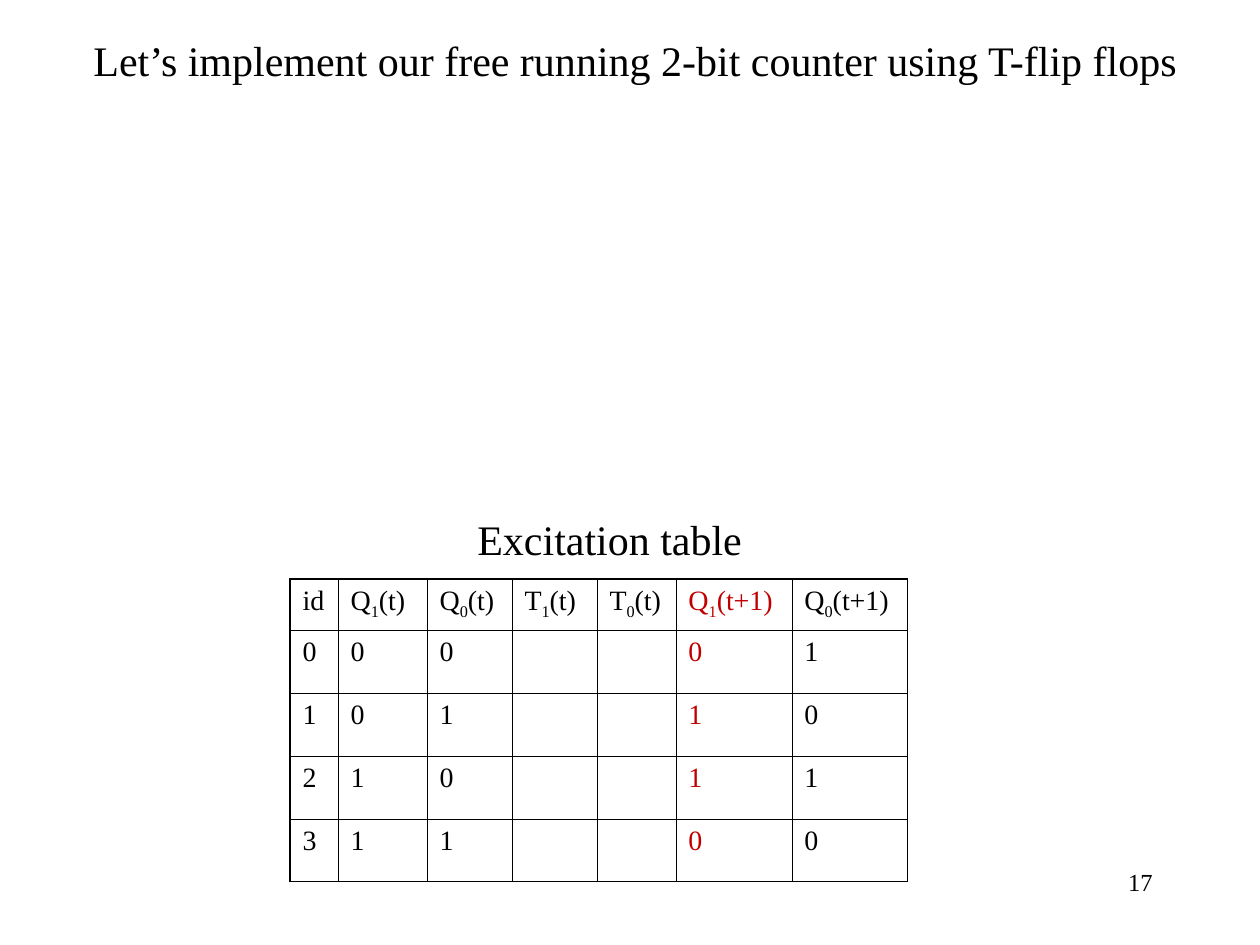
from typing import NamedTuple

from lxml import etree
from pptx import Presentation
from pptx import util as u
from pptx.dml.color import RGBColor
from pptx.enum import text as t
from pptx.oxml import ns

PX = 914400 // 126  # EMU per px
FONT = "Times New Roman"
BLACK = RGBColor(0x00, 0x00, 0x00)
RED = RGBColor(0xC0, 0x00, 0x00)
THIN, THICK = 0.45, 1.08


class Label(NamedTuple):
    text: str
    x: int
    y: int
    w: int
    h: int
    size: int = 24
    align: t.PP_ALIGN = t.PP_ALIGN.LEFT
    wrap: bool = False


class Column(NamedTuple):
    head: str
    width: int
    values: str = ""
    color: RGBColor = BLACK


LABELS = [
    Label("Let’s implement our free running 2-bit counter using T-flip flops",
          81, 28, 1115, 63),
    Label("Excitation table", 465, 507, 290, 63),
    Label("17", 903, 861, 262, 63, 14, t.PP_ALIGN.RIGHT, True),
]

# An underscore lowers the character after it
COLUMNS = [
    Column("id", 48, "0123"),
    Column("Q_1(t)", 89, "0011"),
    Column("Q_0(t)", 85, "0101"),
    Column("T_1(t)", 85),
    Column("T_0(t)", 79),
    Column("Q_1(t+1)", 116, "0110", RED),
    Column("Q_0(t+1)", 116, "1010"),
]
ROWS = [51] + [63] * 4


def write(frame, words: str, *, size: int, color: RGBColor = BLACK,
          align: t.PP_ALIGN = t.PP_ALIGN.LEFT) -> None:
    para = frame.paragraphs[0]
    para.alignment = align
    base, _, rest = words.partition("_")
    for part, low in ((base, False), (rest[:1], True), (rest[1:], False)):
        if not part:
            continue
        run = para.add_run()
        run.text = part
        font = run.font
        font.name, font.size = FONT, u.Pt(size)
        font.color.rgb = color
        if low:
            run._r.get_or_add_rPr().set("baseline", "-25000")


def label(slide, item: Label) -> None:
    box = slide.shapes.add_textbox(*(n * PX for n in item[1:5]))
    frame = box.text_frame
    frame.word_wrap = item.wrap
    write(frame, item.text, size=item.size, align=item.align)


def border(cell, side: str, width: float) -> None:
    line = etree.SubElement(cell._tc.get_or_add_tcPr(), ns.qn(f"a:ln{side}"),
                            w=str(u.Pt(width)))
    fill = etree.SubElement(line, ns.qn("a:solidFill"))
    etree.SubElement(fill, ns.qn("a:srgbClr"), val=str(BLACK))


def grid(slide, x: int, y: int) -> None:
    width = sum(col.width for col in COLUMNS)
    table = slide.shapes.add_table(len(ROWS), len(COLUMNS), x * PX, y * PX,
                                   width * PX, sum(ROWS) * PX).table
    table.first_row = table.horz_banding = False
    for r, height in enumerate(ROWS):
        table.rows[r].height = height * PX
    for c, col in enumerate(COLUMNS):
        table.columns[c].width = col.width * PX
        words = [col.head, *col.values]
        for r in range(len(ROWS)):
            cell = table.cell(r, c)
            # Outer left and top edges are heavier
            border(cell, "L", THIN if c else THICK)
            border(cell, "R", THIN)
            border(cell, "T", THIN if r else THICK)
            border(cell, "B", THIN)
            cell.fill.background()
            if r < len(words):
                write(cell.text_frame, words[r], size=16, color=col.color)


def main() -> None:
    deck = Presentation()
    deck.slide_width, deck.slide_height = u.Inches(10), u.Inches(7.5)
    slide = deck.slides.add_slide(deck.slide_layouts[6])

    # Title, table caption and page number
    for item in LABELS:
        label(slide, item)

    # Excitation table
    grid(slide, 290, 579)
    deck.save("out.pptx")


if __name__ == "__main__":
    main()
